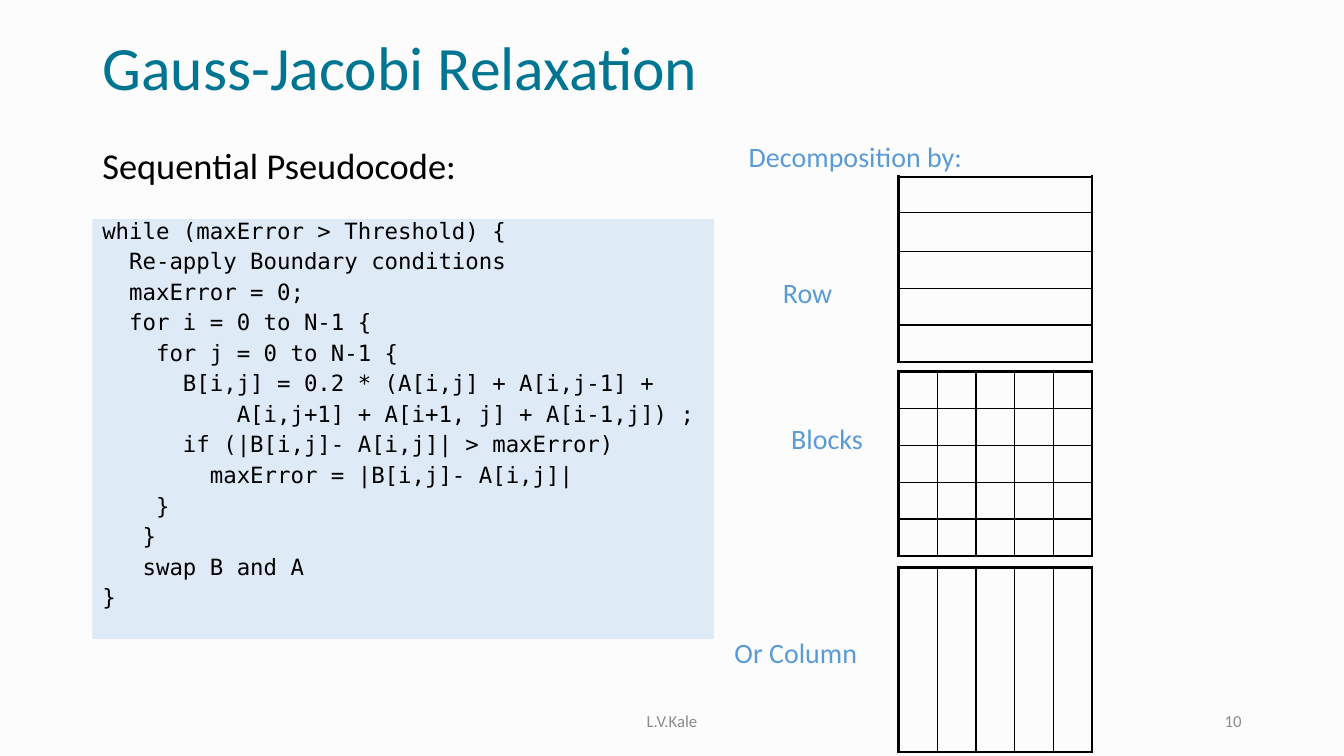
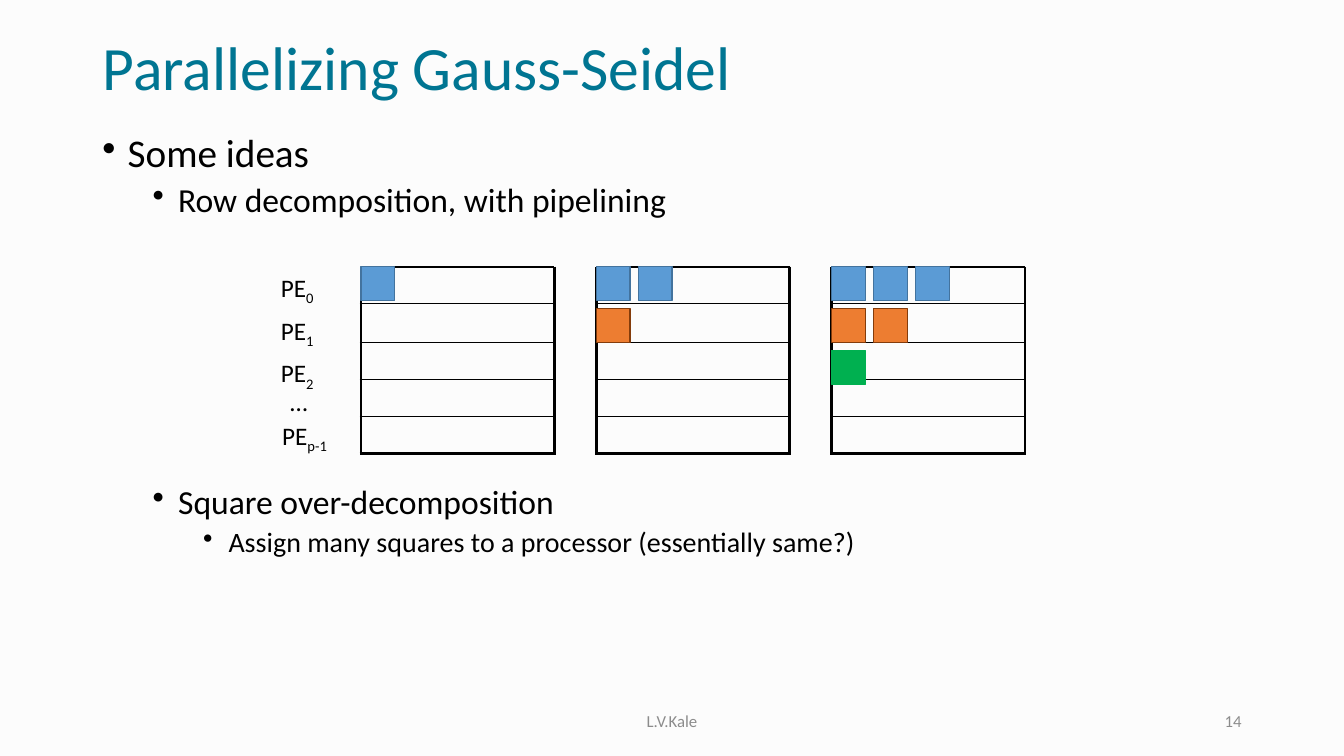
from dataclasses import dataclass
from typing import NamedTuple

from lxml.etree import SubElement
from pptx import Presentation
from pptx.dml.color import RGBColor
from pptx.enum.shapes import MSO_CONNECTOR, MSO_SHAPE
from pptx.enum.text import MSO_ANCHOR, PP_ALIGN
from pptx.oxml.ns import qn
from pptx.util import Cm, Pt

FONT, MONO = "Calibri", "DejaVu Sans Mono"
BLACK, TEAL, GRAY, PAPER = "000000", "007592", "8C8C8C", "FCFCFC"
BLUE, PALE = "5B9BD5", "DEEBF7"
THIN, THICK = 1, 2.25
WIDE, ROW = 4.87, 0.93
ROWS = (ROW, 0.98, ROW, ROW, ROW)
SIDE, STEP = 0.85, 1.06

CODE = """\
while (maxError > Threshold) {
  Re-apply Boundary conditions
  maxError = 0;
  for i = 0 to N-1 {
    for j = 0 to N-1 {
      B[i,j] = 0.2 * (A[i,j] + A[i,j-1] +
          A[i,j+1] + A[i+1, j] + A[i-1,j]) ;
      if (|B[i,j]- A[i,j]| > maxError)
        maxError = |B[i,j]- A[i,j]|
    }
   }
   swap B and A
}"""


class Box(NamedTuple):
    left: float
    top: float
    width: float
    height: float

    def place(self) -> tuple:
        return tuple(Cm(side) for side in self)


class Tint(NamedTuple):
    fill: str
    line: str


@dataclass
class Grid:
    left: float
    top: float
    rows: tuple
    split: bool = True  # upright lines between the columns
    lid: bool = True  # line along the top edge


@dataclass
class Point:
    text: str
    level: int
    size: int
    before: float


@dataclass
class Label:
    text: str
    left: float
    top: float
    sub: str = ""


TINTS = (Tint(BLUE, "43739E"), Tint("ED7D31", "843C0B"), Tint("00B050", "00B050"))
POINTS = (
    Point("Some ideas", 0, 28, 0),
    Point("Row decomposition, with pipelining", 1, 24, 5),
    Point("Square over-decomposition", 1, 24, 190),
    Point("Assign many squares to a processor (essentially same?)", 2, 20, 5),
)
KINDS = (
    Label("Decomposition by:", 18.62, 3.38),
    Label("Row", 19.48, 6.81),
    Label("Blocks", 19.69, 10.49),
    Label("Or Column", 18.26, 15.9),
)
RANKS = (
    Label("PE", 6.83, 6.73, "0"),
    Label("PE", 6.83, 7.82, "1"),
    Label("PE", 6.83, 8.89, "2"),
    Label("…", 7.06, 9.6),
    Label("PE", 6.86, 10.46, "p-1"),
)


def color(code: str) -> RGBColor:
    return RGBColor.from_string(code)


def style(part, size: float, code: str = BLACK, name: str = FONT) -> None:
    """Format every run of one paragraph."""
    for run in part.runs:
        run.font.size = Pt(size)
        run.font.name = name
        run.font.color.rgb = color(code)


def write(slide, box: Box, text: str, size: float, code: str = BLACK,
          align=PP_ALIGN.LEFT, anchor=MSO_ANCHOR.TOP):
    frame = slide.shapes.add_textbox(*box.place()).text_frame
    frame.word_wrap = True
    frame.vertical_anchor = anchor
    frame.text = text
    part = frame.paragraphs[0]
    part.alignment = align
    style(part, size, code)
    return part


def start(deck, title: str, page: int):
    """Add a slide with its title, footer and page number."""
    slide = deck.slides.add_slide(deck.slide_layouts[5])
    head = slide.shapes.title
    head.left, head.top, head.width, head.height = Box(2.33, 0.71, 29.21, 2.13).place()
    frame = head.text_frame
    frame.text = title
    frame.vertical_anchor = MSO_ANCHOR.MIDDLE
    part = frame.paragraphs[0]
    part.alignment = PP_ALIGN.LEFT
    part.line_spacing = 0.9
    style(part, 44, TEAL)
    for box, text, align in (
        (Box(11.22, 17.65, 11.43, 1.01), "L.V.Kale", PP_ALIGN.CENTER),
        (Box(23.92, 17.65, 7.62, 1.01), str(page), PP_ALIGN.RIGHT),
    ):
        write(slide, box, text, 12, GRAY, align, MSO_ANCHOR.MIDDLE)
    return slide


def block(slide, box: Box, fill: str, line: str = ""):
    shape = slide.shapes.add_shape(MSO_SHAPE.RECTANGLE, *box.place())
    shape.shadow.inherit = False
    shape.fill.solid()
    shape.fill.fore_color.rgb = color(fill)
    if line:
        shape.line.color.rgb = color(line)
        shape.line.width = Pt(1)
    else:
        shape.line.fill.background()
    return shape


def edge(cell, side: str, width: float) -> None:
    """Set one cell border; width 0 hides it."""
    line = SubElement(cell._tc.get_or_add_tcPr(), qn(f"a:ln{side}"), w=str(int(Pt(width))))
    if width:
        fill = SubElement(line, qn("a:solidFill"))
        SubElement(fill, qn("a:srgbClr"), val=BLACK)
    else:
        SubElement(line, qn("a:noFill"))


def draw_grid(slide, grid: Grid) -> None:
    count, last = 5, len(grid.rows) - 1
    box = Box(grid.left, grid.top, WIDE, sum(grid.rows))
    table = slide.shapes.add_table(last + 1, count, *box.place()).table
    table.first_row = table.horz_banding = False
    for col in table.columns:
        col.width = Cm(WIDE / count)
    inner = THIN if grid.split else 0
    lid = THICK if grid.lid else 0
    for y, height in enumerate(grid.rows):
        table.rows[y].height = Cm(height)
        for x in range(count):
            cell = table.cell(y, x)
            cell.margin_left = cell.margin_right = 0
            cell.margin_top = cell.margin_bottom = 0
            edge(cell, "L", inner if x else THICK)
            edge(cell, "R", inner if x < count - 1 else THICK)
            edge(cell, "T", THIN if y else lid)
            edge(cell, "B", THIN if y < last else THICK)
            cell.fill.background()


def draw_line(slide, left: float, top: float) -> None:
    line = slide.shapes.add_connector(
        MSO_CONNECTOR.STRAIGHT, Cm(left), Cm(top), Cm(left + WIDE), Cm(top))
    line.line.color.rgb = color(BLACK)
    line.line.width = Pt(1.5)
    SubElement(line._element.spPr, qn("a:effectLst"))


def draw_code(slide) -> None:
    frame = block(slide, Box(2.33, 5.52, 15.66, 10.58), PALE).text_frame
    frame.word_wrap = True
    frame.vertical_anchor = MSO_ANCHOR.TOP
    frame.text = CODE
    for i, part in enumerate(frame.paragraphs):
        part.alignment = PP_ALIGN.LEFT
        part.line_spacing = 0.7
        part.space_before = Pt(8.4 if i else 0)
        style(part, 16, name=MONO)


def draw_points(slide) -> None:
    frame = slide.shapes.add_textbox(*Box(2.33, 3.25, 29.21, 13.92).place()).text_frame
    frame.word_wrap = True
    frame.text = "\n".join(point.text for point in POINTS)
    for part, point in zip(frame.paragraphs, POINTS):
        props = part._p.get_or_add_pPr()
        props.set("marL", str(Cm(0.64 + 1.27 * point.level)))
        props.set("indent", str(-Cm(0.64)))
        SubElement(props, qn("a:buChar"), char="•")
        part.level = point.level
        part.line_spacing = 0.9
        part.space_before = Pt(point.before)
        style(part, point.size)


def draw_stage(slide, stage: int) -> None:
    """Draw one pipeline step: each row lags one square behind the row above."""
    left, top = 9.1 + 5.93 * stage, 6.72
    draw_grid(slide, Grid(left, top, ROWS, split=False, lid=False))
    draw_line(slide, left, top)
    for y, tint in enumerate(TINTS[:stage + 1]):
        for x in range(stage + 1 - y):
            block(slide, Box(left + x * STEP, top + y * STEP, SIDE, SIDE), *tint)


def jacobi(deck) -> None:
    slide = start(deck, "Gauss-Jacobi Relaxation", 10)
    draw_code(slide)
    write(slide, Box(2.33, 3.48, 13.13, 1.37), "Sequential Pseudocode:", 26)
    left = 22.65
    draw_grid(slide, Grid(left, 4.42, ROWS, split=False, lid=False))
    draw_line(slide, left, 4.47)
    draw_grid(slide, Grid(left, 9.36, (ROW,) * 5))
    draw_grid(slide, Grid(left, 14.3, (5 * ROW,)))
    for label in KINDS:
        write(slide, Box(label.left, label.top, 6.15, 1.1), label.text, 20, BLUE)


def seidel(deck) -> None:
    slide = start(deck, "Parallelizing Gauss-Seidel", 14)
    draw_points(slide)
    for stage in range(3):
        draw_stage(slide, stage)
    for label in RANKS:
        part = write(slide, Box(label.left, label.top, 2, 1.02), label.text, 18)
        if label.sub:
            run = part.add_run()
            run.text = label.sub
            style(part, 18)
            run._r.get_or_add_rPr().set("baseline", "-25000")


def main() -> None:
    deck = Presentation()
    deck.slide_width, deck.slide_height = Cm(33.87), Cm(19.05)
    fill = deck.slide_master.background.fill
    fill.solid()
    fill.fore_color.rgb = color(PAPER)
    jacobi(deck)
    seidel(deck)
    deck.save("out.pptx")


if __name__ == "__main__":
    main()
